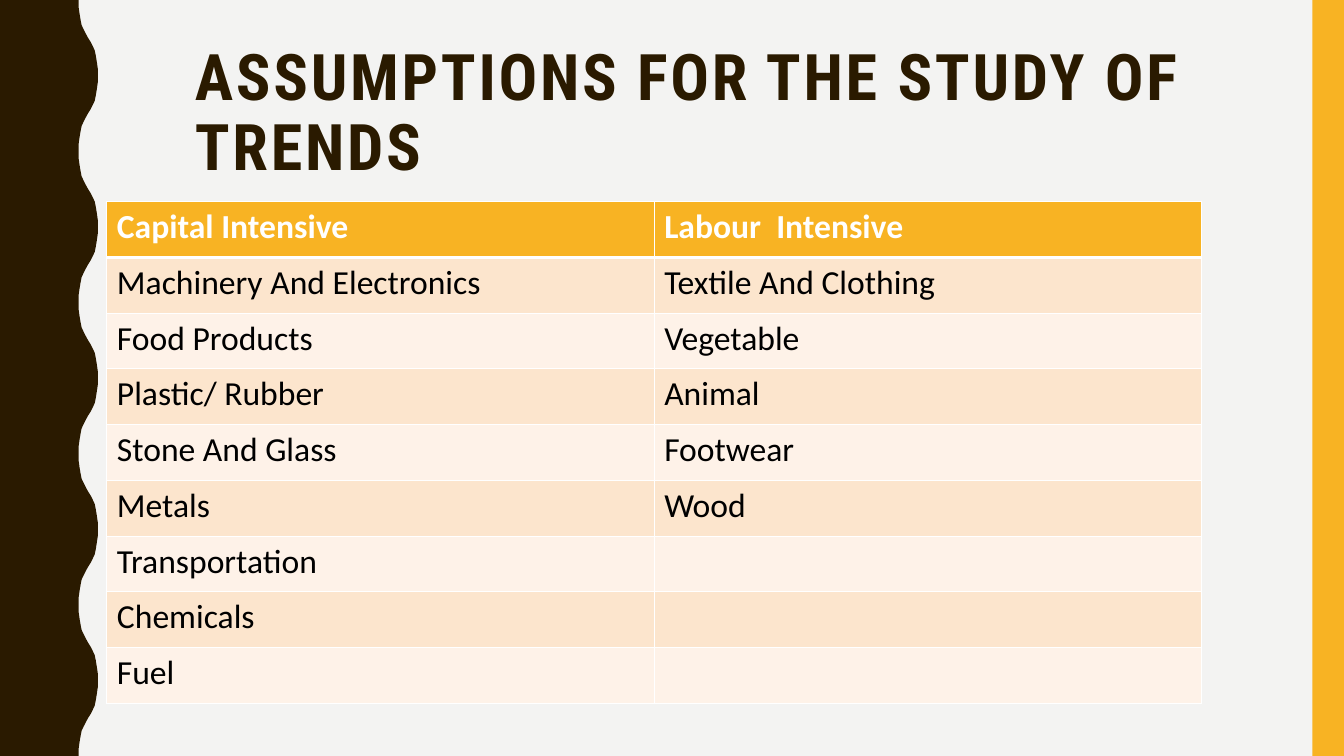
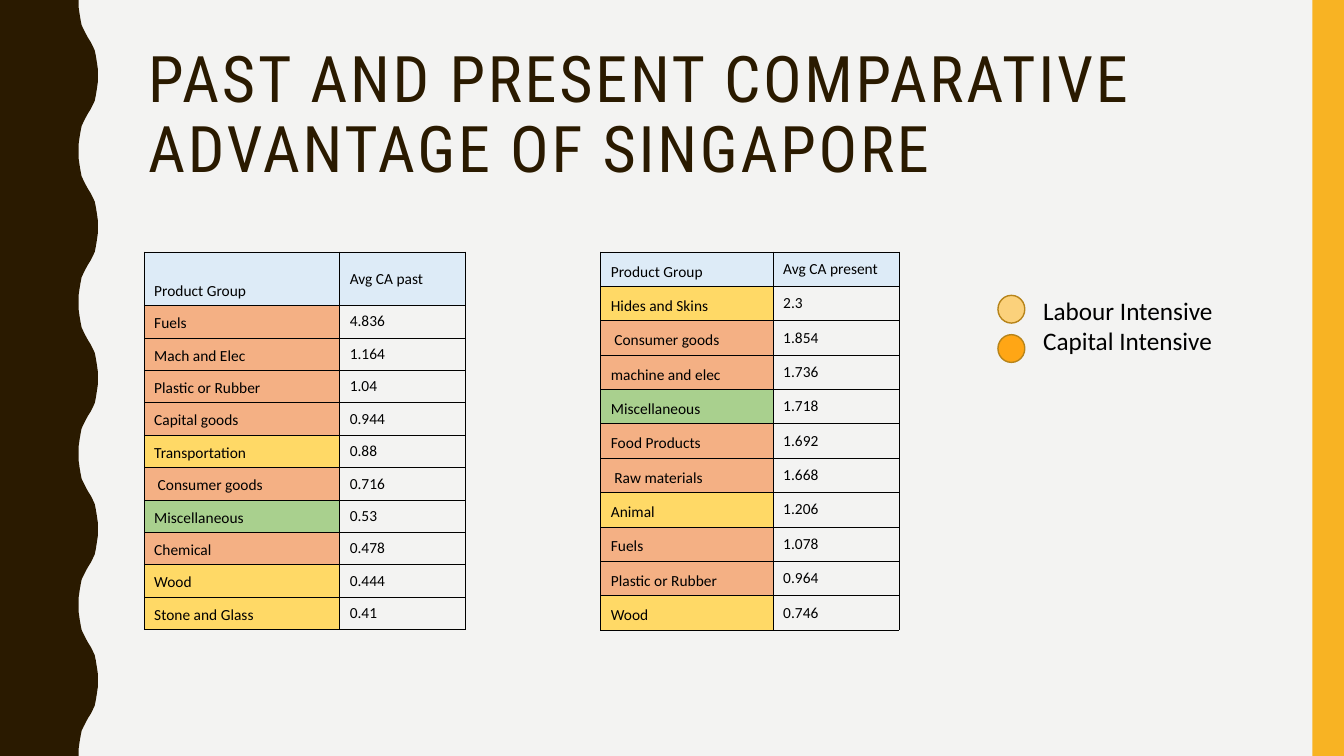
from itertools import zip_longest

from lxml.etree import SubElement
from pptx import Presentation
from pptx.dml.color import RGBColor
from pptx.enum.shapes import MSO_SHAPE as Preset
from pptx.enum.text import MSO_ANCHOR as Anchor, MSO_AUTO_SIZE as AutoSize, PP_ALIGN as Align
from pptx.oxml.ns import qn
from pptx.util import Inches, Pt

WIDTH, HEIGHT = Inches(13.33), Inches(7.5)
COLUMNS, ROWS = 40, 30
TITLE_FONT, BODY_FONT = "Roboto Condensed", "Calibri"

BLACK = RGBColor(0x00, 0x00, 0x00)
WHITE = RGBColor(0xFF, 0xFF, 0xFF)
PAPER = RGBColor(0xF3, 0xF3, 0xF2)
BROWN = RGBColor(0x2A, 0x1A, 0x00)
GOLD = RGBColor(0xF8, 0xB3, 0x23)
BAND_DARK = RGBColor(0xFC, 0xE5, 0xCD)
BAND_LIGHT = RGBColor(0xFE, 0xF2, 0xE8)
HEADER_BLUE = RGBColor(0xDD, 0xEB, 0xF7)
ORANGE = RGBColor(0xF4, 0xB0, 0x84)
YELLOW = RGBColor(0xFF, 0xD9, 0x66)
GREEN = RGBColor(0xA9, 0xD0, 0x8E)
LEGEND_LABOUR = RGBColor(0xFB, 0xD1, 0x7B)
LEGEND_CAPITAL = RGBColor(0xFF, 0xA6, 0x15)
LEGEND_LINE = RGBColor(0xB7, 0x84, 0x1A)

WAVE_QUARTER = [(2.34, 0), (2.34, 0.28), (2.37, 0.56), (2.4, 0.8), (2.43, 1),
                (2.49, 1.17), (2.55, 1.33), (2.62, 1.5)]
WAVE_PERIOD = 6

CAPITAL = ["Machinery And Electronics", "Food Products", "Plastic/ Rubber", "Stone And Glass",
           "Metals", "Transportation", "Chemicals", "Fuel"]
LABOUR = ["Textile And Clothing", "Vegetable", "Animal", "Footwear", "Wood"]
PAST = [
    ("Fuels", "4.836", ORANGE),
    ("Mach and Elec", "1.164", ORANGE),
    ("Plastic or Rubber", "1.04", ORANGE),
    ("Capital goods", "0.944", ORANGE),
    ("Transportation", "0.88", YELLOW),
    (" Consumer goods", "0.716", ORANGE),
    ("Miscellaneous", "0.53", GREEN),
    ("Chemical", "0.478", ORANGE),
    ("Wood", "0.444", YELLOW),
    ("Stone and Glass", "0.41", YELLOW),
]
PRESENT = [
    ("Hides and Skins", "2.3", YELLOW),
    (" Consumer goods", "1.854", ORANGE),
    ("machine and elec", "1.736", ORANGE),
    ("Miscellaneous", "1.718", GREEN),
    ("Food Products", "1.692", ORANGE),
    (" Raw materials", "1.668", ORANGE),
    ("Animal", "1.206", YELLOW),
    ("Fuels", "1.078", ORANGE),
    ("Plastic or Rubber", "0.964", ORANGE),
    ("Wood", "0.746", YELLOW),
]


def across(columns):
    return round(WIDTH * columns / COLUMNS)


def down(rows):
    return round(HEIGHT * rows / ROWS)


def box(left, top, width, height):
    return across(left), down(top), across(width), down(height)


def write_text(text_frame, text, size, font=BODY_FONT, color=BLACK, bold=False,
               line_spacing=None, letter_spacing=None):
    text_frame.text = text
    text_frame.word_wrap = True
    for paragraph in text_frame.paragraphs:
        paragraph.alignment = Align.LEFT
        paragraph.line_spacing = line_spacing
        for run in paragraph.runs:
            run.font.size = Pt(size)
            run.font.name = font
            run.font.bold = bold
            run.font.color.rgb = color
            if letter_spacing:
                run._r.get_or_add_rPr().set("spc", str(letter_spacing * 100))


def paint(shape, fill, line=None):
    shape.shadow.inherit = False
    shape.fill.solid()
    shape.fill.fore_color.rgb = fill
    if line is None:
        shape.line.fill.background()
    else:
        shape.line.color.rgb = line
        shape.line.width = Pt(1)


def wave_points():
    half = WAVE_QUARTER + [(5.25 - x, 3 - y) for x, y in reversed(WAVE_QUARTER[:-1])]
    period = half + [(x, WAVE_PERIOD - y) for x, y in reversed(half[1:-1])]
    crest = [(x, y + start) for start in range(0, ROWS, WAVE_PERIOD) for x, y in period]
    return crest + [(WAVE_QUARTER[0][0], ROWS), (0, ROWS)]


def decorate_master(master, slide):
    master.background.fill.solid()
    master.background.fill.fore_color.rgb = PAPER
    builder = slide.shapes.build_freeform(0, 0)
    builder.add_line_segments([(across(x), down(y)) for x, y in wave_points()], close=True)
    wave = builder.convert_to_shape()
    bar = slide.shapes.add_shape(Preset.RECTANGLE, *box(39.06, 0, 0.94, ROWS))
    for number, (shape, color) in enumerate([(wave, BROWN), (bar, GOLD)], start=101):
        paint(shape, color)
        next(shape.element.iter(qn("p:cNvPr"))).set("id", str(number))
        master.shapes.element.append(shape.element)


def add_title(slide, text, place, bold=False):
    title = slide.shapes.title
    title.left, title.top, title.width, title.height = box(*place)
    write_text(title.text_frame, text, 45.9, font=TITLE_FONT, color=BROWN, bold=bold,
               line_spacing=0.9, letter_spacing=2)
    title.text_frame.auto_size = AutoSize.NONE
    title.text_frame.vertical_anchor = Anchor.TOP


def set_borders(cell, color, left=1, right=1, top=1, bottom=1):
    properties = cell._tc.get_or_add_tcPr()
    for side, width in zip("LRTB", (left, right, top, bottom)):
        line = SubElement(properties, qn(f"a:ln{side}"), w=str(Pt(width)))
        fill = SubElement(line, qn("a:solidFill"))
        SubElement(fill, qn("a:srgbClr"), val=str(color))


def fill_cell(cell, color):
    if color is None:
        cell.fill.background()
    else:
        cell.fill.solid()
        cell.fill.fore_color.rgb = color


def add_grid(slide, left, top, widths, header_height, height, row_count):
    place = box(left, top, sum(widths), height)
    table = slide.shapes.add_table(row_count, len(widths), *place).table
    table.first_row = table.horz_banding = False
    for column, width in zip(table.columns, widths):
        column.width = across(width)
    for row in table.rows:
        row.height = down((height - header_height) / (row_count - 1))
    table.rows[0].height = down(header_height)
    return table


def add_assumptions_table(slide):
    records = [("Capital Intensive", "Labour  Intensive"),
               *zip_longest(CAPITAL, LABOUR, fillvalue="")]
    height = 19.92
    table = add_grid(slide, 3.18, 8, [16.29, 16.29], height / len(records), height, len(records))
    for index, record in enumerate(records):
        header = index == 0
        fill = GOLD if header else BAND_DARK if index % 2 else BAND_LIGHT
        for cell, text in zip(table.rows[index].cells, record):
            set_borders(cell, WHITE, top=3 if index == 1 else 1, bottom=3 if header else 1)
            fill_cell(cell, fill)
            if text:
                write_text(cell.text_frame, text, 24, color=WHITE if header else BLACK,
                           bold=header)


def add_advantage_table(slide, period, products, left, label_width, header_height):
    records = [("Product Group", f"Avg CA {period}", HEADER_BLUE), *products]
    table = add_grid(slide, left, 10, [label_width, 3.75], header_height, 15, len(records))
    for index, (label, value, color) in enumerate(records):
        value_fill = color if index == 0 else None
        styles = [(label, color, Anchor.BOTTOM), (value, value_fill, Anchor.MIDDLE)]
        for cell, (text, fill, anchor) in zip(table.rows[index].cells, styles):
            set_borders(cell, BLACK, 0.5, 0.5, 0.5, 0.5)
            fill_cell(cell, fill)
            write_text(cell.text_frame, text, 11)
            cell.vertical_anchor = anchor


def add_legend(slide):
    labels = slide.shapes.add_textbox(*box(30.75, 11.52, 7.77, 2.84))
    write_text(labels.text_frame, "Labour Intensive\nCapital Intensive", 18)
    labels.text_frame.auto_size = AutoSize.SHAPE_TO_FIT_TEXT
    for index, color in enumerate([LEGEND_LABOUR, LEGEND_CAPITAL]):
        place = box(29.7, 11.72 + 1.56 * index, 0.8, 1.1)
        paint(slide.shapes.add_shape(Preset.OVAL, *place), color, LEGEND_LINE)


def main():
    presentation = Presentation()
    presentation.slide_width, presentation.slide_height = WIDTH, HEIGHT
    title_only = presentation.slide_layouts[5]

    assumptions = presentation.slides.add_slide(title_only)
    decorate_master(presentation.slide_master, assumptions)
    add_title(assumptions, "ASSUMPTIONS FOR THE STUDY OF TRENDS", (5.5, 1.6, 34.5, 5.8), bold=True)
    add_assumptions_table(assumptions)

    advantage = presentation.slides.add_slide(title_only)
    add_title(advantage, "PAST AND PRESENT COMPARATIVE ADVANTAGE OF SINGAPORE",
              (4.11, 1.68, 33.39, 6.52))
    add_legend(advantage)
    add_advantage_table(advantage, "past", PAST, 4.29, 5.82, 2.12)
    add_advantage_table(advantage, "present", PRESENT, 17.88, 5.13, 1.36)

    presentation.save("out.pptx")


if __name__ == "__main__":
    main()
